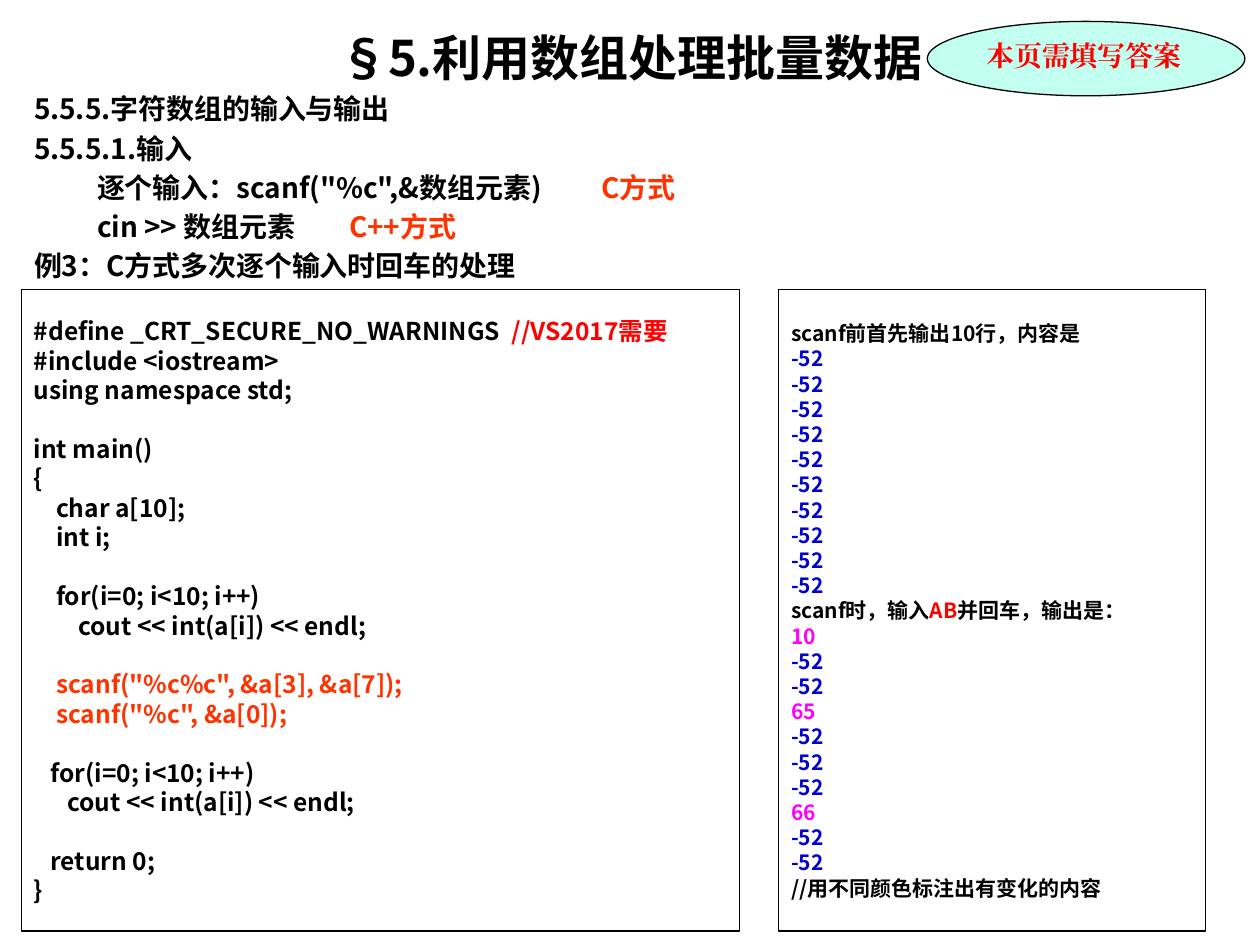
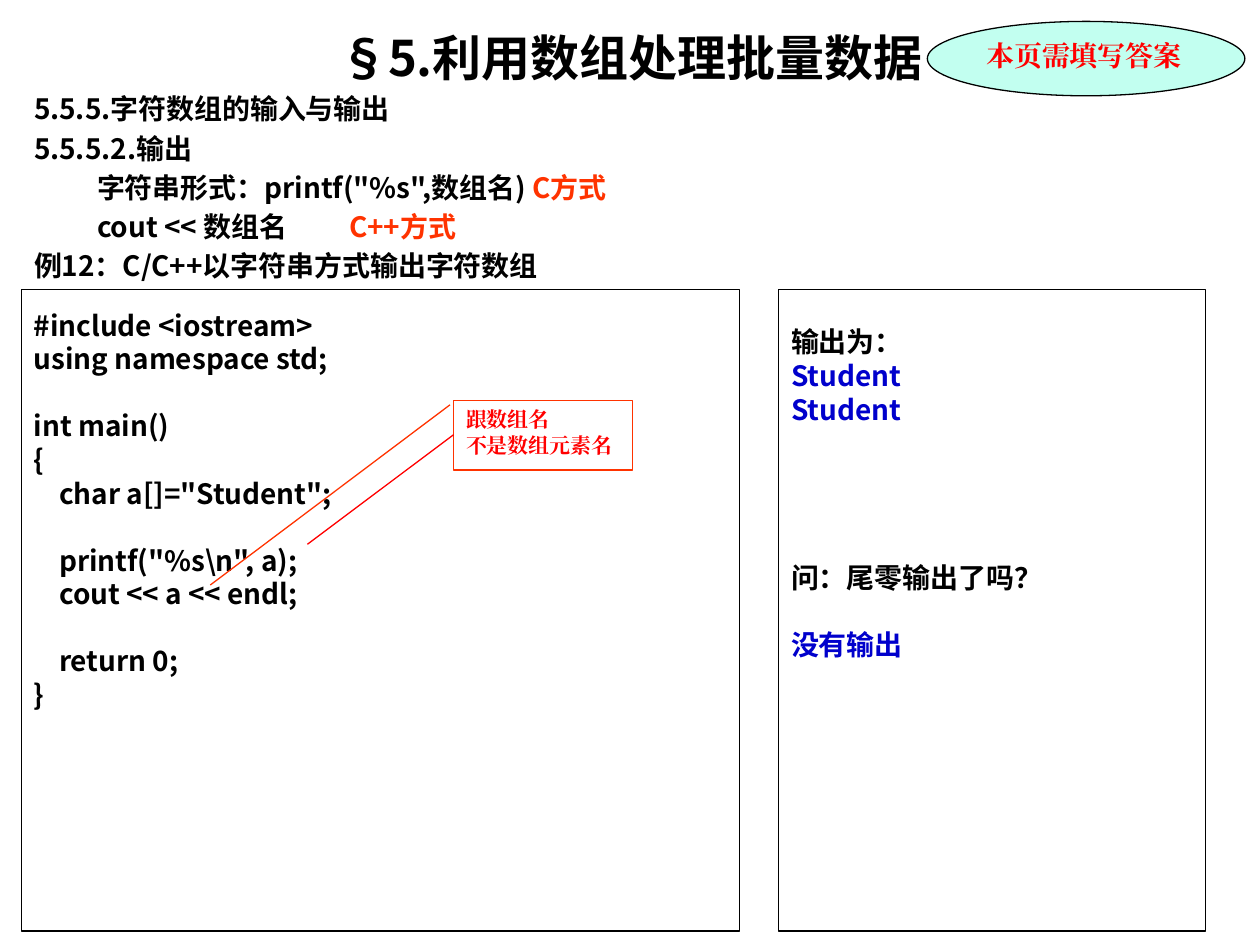
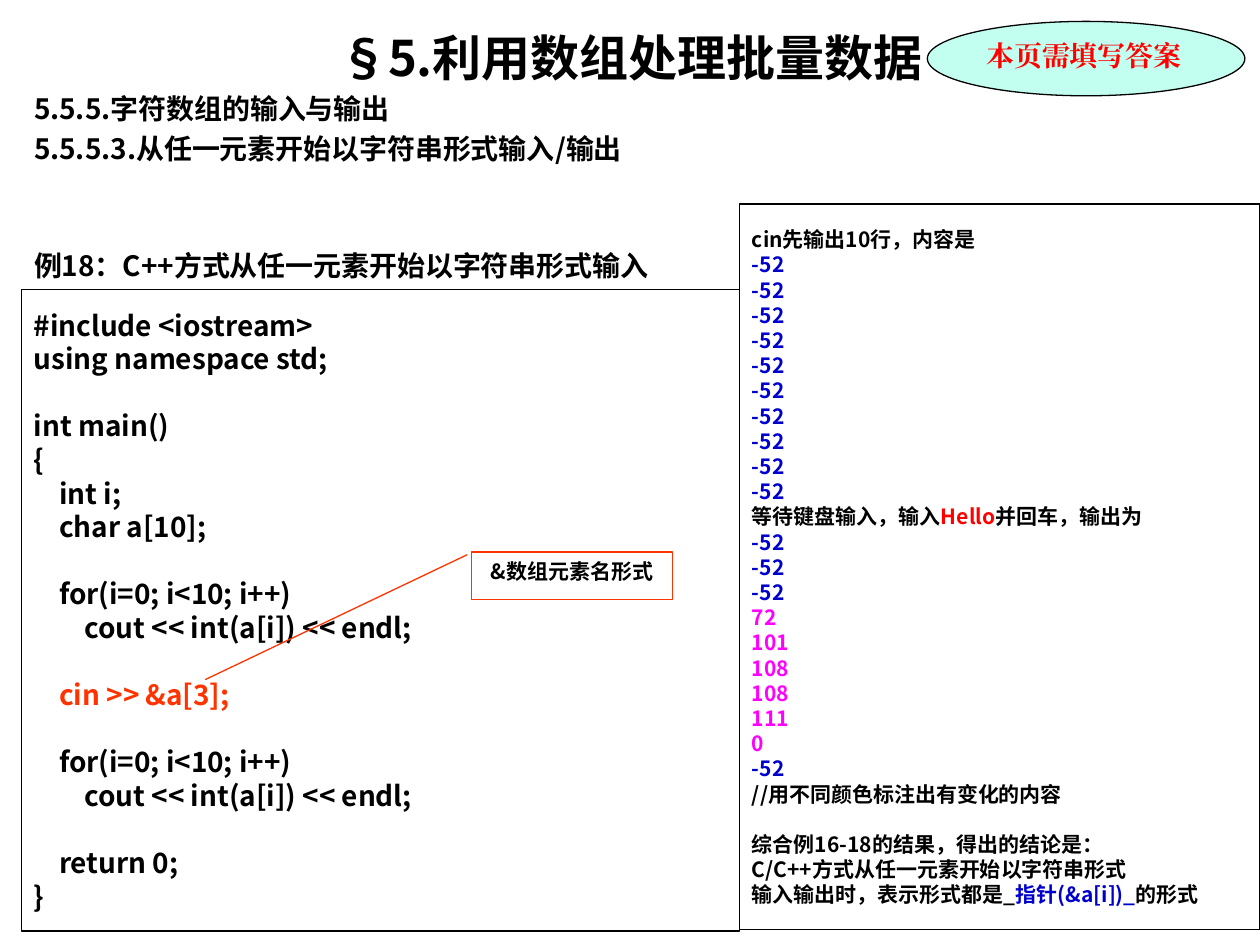
from dataclasses import dataclass
from typing import NamedTuple

import lxml.etree
import pptx
import pptx.dml.color
import pptx.enum.shapes
import pptx.enum.text
import pptx.oxml.ns
import pptx.util

Inches = pptx.util.Inches
Pt = pptx.util.Pt
ALIGN = pptx.enum.text.PP_ALIGN
ANCHOR = pptx.enum.text.MSO_ANCHOR
SHAPE = pptx.enum.shapes.MSO_SHAPE
qn = pptx.oxml.ns.qn


@dataclass(frozen=True)
class Theme:
    font: str = "Noto Sans CJK SC"
    note_font: str = "Times New Roman"
    black: str = "000000"
    red: str = "FF0000"
    orange: str = "FF3300"
    blue: str = "0000CC"
    pink: str = "FF00FF"
    mint: str = "C2FFF0"
    title: int = 28
    body: int = 16
    code: int = 14
    small: int = 12
    line_width: float = 0.75
    leading: float = 1.2
    body_gap: float = 3.2


T = Theme()


class Span(NamedTuple):
    text: str
    color: str = T.black


class Line(NamedTuple):
    spans: tuple[Span, ...]
    gap: int = 0
    tabs: tuple[float, ...] = ()


class Box(NamedTuple):
    left: float
    top: float
    width: float
    height: float

    def emu(self) -> list[int]:
        return [Inches(v) for v in self]


class Panel(NamedTuple):
    box: Box
    size: int
    lines: list[Line]
    spare: int = 0


class Callout(NamedTuple):
    box: Box
    adjustments: tuple[float, ...]
    lines: list[Line]
    font: str
    align: ALIGN


class Page(NamedTuple):
    heading: list[Line]
    panels: list[Panel]
    callouts: list[Callout] = []
    pointers: list[tuple[float, ...]] = []


TITLE = Box(0.17, 0.17, 9.67, 0.6)
HEADING = Box(0.17, 0.68, 9.67, 1.62)
BADGE = Box(7.36, 0.17, 2.52, 0.59)
CODE = Box(0.17, 2.3, 5.7, 5.09)
OUTPUT = Box(6.18, 2.3, 3.39, 5.09)
WIDE_OUTPUT = Box(5.87, 1.62, 4.13, 5.76)


def block(text: str, color: str = T.black) -> list[Line]:
    lines, gap = [], 0
    for row in text.split("\n"):
        if row:
            lines.append(Line((Span(row, color),), gap))
            gap = 0
        else:
            gap += 1
    return lines


def mixed(*spans: Span, tabs: tuple[float, ...] = ()) -> list[Line]:
    return [Line(spans, 0, tabs)]


def unset(count: int) -> list[Line]:
    return block("\n".join(["-52"] * count), T.blue)


def style_run(r, size: int, color: str, font: str) -> None:
    r.font.size = Pt(size)
    r.font.bold = True
    r.font.color.rgb = pptx.dml.color.RGBColor.from_string(color)
    r.font.name = font
    ea = lxml.etree.SubElement(r._r.get_or_add_rPr(), qn("a:ea"))
    ea.set("typeface", font)


def set_tabs(p, tabs: tuple[float, ...]) -> None:
    pPr = p._p.get_or_add_pPr()
    pPr.set("marL", "0")
    pPr.set("indent", "0")
    lxml.etree.SubElement(pPr, qn("a:buNone"))
    if tabs:
        tab_list = lxml.etree.SubElement(pPr, qn("a:tabLst"))
        for pos in tabs:
            tab = lxml.etree.SubElement(tab_list, qn("a:tab"))
            tab.set("pos", str(Inches(pos)))
            tab.set("algn", "l")


def write(tf, lines: list[Line], size: int, font: str = T.font,
          align: ALIGN = ALIGN.LEFT, anchor: ANCHOR = ANCHOR.TOP,
          paragraph_gap: float = 0) -> None:
    tf.word_wrap = True
    tf.auto_size = pptx.enum.text.MSO_AUTO_SIZE.NONE
    tf.vertical_anchor = anchor
    tf.text = "\n".join(line.spans[0].text for line in lines)
    pitch = T.leading * size
    for i, (p, line) in enumerate(zip(tf.paragraphs, lines)):
        set_tabs(p, line.tabs)
        p.alignment = align
        p.line_spacing = Pt(pitch)
        before = paragraph_gap + line.gap * (pitch + paragraph_gap)
        p.space_before = Pt(before if i else 0)
        for span in line.spans[1:]:
            p.add_run().text = span.text
        for r, span in zip(p.runs, line.spans):
            style_run(r, size, span.color, font)


def style_line(line, color: str) -> None:
    line.color.rgb = pptx.dml.color.RGBColor.from_string(color)
    line.width = Pt(T.line_width)


def add_box(s, kind: SHAPE, box: Box, line: str = T.black, fill: str = ""):
    sp = s.shapes.add_shape(kind, *box.emu())
    sp.shadow.inherit = False
    if fill:
        sp.fill.solid()
        sp.fill.fore_color.rgb = pptx.dml.color.RGBColor.from_string(fill)
    else:
        sp.fill.background()
    style_line(sp.line, line)
    return sp


def place(sp, box: Box) -> None:
    sp.left, sp.top, sp.width, sp.height = box.emu()


def add_headings(s, heading: list[Line]) -> None:
    title, body = s.shapes.title, s.placeholders[1]
    place(title, TITLE)
    place(body, HEADING)
    write(title.text_frame, block("§5.利用数组处理批量数据"), T.title,
          align=ALIGN.CENTER)
    write(body.text_frame, block("5.5.5.字符数组的输入与输出") + heading,
          T.body, align=ALIGN.JUSTIFY, paragraph_gap=T.body_gap)


def add_badge(s) -> None:
    sp = add_box(s, SHAPE.OVAL, BADGE, fill=T.mint)
    sp.text_frame.margin_right = 0
    write(sp.text_frame, block("本页需填写答案", T.red), T.body, T.note_font)


def add_panel(s, panel: Panel) -> None:
    tf = add_box(s, SHAPE.RECTANGLE, panel.box).text_frame
    tf.margin_bottom = Inches(0.05) + Pt(panel.spare * T.leading * panel.size)
    write(tf, panel.lines, panel.size, anchor=ANCHOR.MIDDLE)


def add_callout(s, callout: Callout) -> None:
    sp = add_box(s, SHAPE.LINE_CALLOUT_1, callout.box, T.orange)
    for i, value in enumerate(callout.adjustments):
        sp.adjustments[i] = value
    write(sp.text_frame, callout.lines, T.small, callout.font, callout.align)


def add_pointer(s, ends: tuple[float, ...]) -> None:
    kind = pptx.enum.shapes.MSO_CONNECTOR.STRAIGHT
    c = s.shapes.add_connector(kind, *[Inches(v) for v in ends])
    style_line(c.line, T.red)
    lxml.etree.SubElement(c._element.spPr, qn("a:effectLst"))


INPUT_CODE = (
    mixed(Span("#define _CRT_SECURE_NO_WARNINGS"),
          Span("  //VS2017需要", T.red))
    + block("""#include <iostream>
using namespace std;

int main()
{
    char a[10];
    int i;

    for(i=0; i<10; i++)
        cout << int(a[i]) << endl;""")
    + block("""
    scanf("%c%c", &a[3], &a[7]);
    scanf("%c", &a[0]);""", T.orange)
    + block("""
   for(i=0; i<10; i++)
      cout << int(a[i]) << endl;

   return 0;
}""")
)

INPUT_RESULT = (
    block("scanf前首先输出10行，内容是")
    + unset(10)
    + mixed(Span("scanf时，输入"), Span("AB", T.red), Span("并回车，输出是："))
    + block("10", T.pink) + unset(2)
    + block("65", T.pink) + unset(3)
    + block("66", T.pink) + unset(2)
    + block("//用不同颜色标注出有变化的内容")
)

OUTPUT_CODE = block("""#include <iostream>
using namespace std;

int main()
{
    char a[]="Student";

    printf("%s\\n", a);
    cout << a << endl;

    return 0;
}""")

OUTPUT_RESULT = (
    block("输出为：")
    + block("Student\nStudent", T.blue)
    + block("\n\n\n\n问：尾零输出了吗？")
    + block("\n没有输出", T.blue)
)

OFFSET_CODE = (
    block("""#include <iostream>
using namespace std;

int main()
{
    int i;
    char a[10];

    for(i=0; i<10; i++)
        cout << int(a[i]) << endl;""")
    + block("\n    cin >> &a[3];", T.orange)
    + block("""
    for(i=0; i<10; i++)
        cout << int(a[i]) << endl;

    return 0;
}""")
)

OFFSET_RESULT = (
    block("cin先输出10行，内容是")
    + unset(10)
    + mixed(Span("等待键盘输入，输入"), Span("Hello", T.red),
            Span("并回车，输出为"))
    + unset(3)
    + block("72\n101\n108\n108\n111\n0", T.pink)
    + unset(1)
    + block("""//用不同颜色标注出有变化的内容

综合例16-18的结果，得出的结论是：
C/C++方式从任一元素开始以字符串形式""")
    + mixed(Span("输入输出时，表示形式都是_"), Span("指针(&a[i])_", T.blue),
            Span("的形式"))
)

PAGES = [
    Page(
        block("5.5.5.1.输入")
        + mixed(Span("\t逐个输入：scanf(\"%c\",&数组元素)\t"),
                Span("C方式", T.orange), tabs=(0.15, 3.99))
        + mixed(Span("\tcin >> 数组元素\t"), Span("C++方式", T.orange),
                tabs=(0.65, 2.79))
        + block("例3：C方式多次逐个输入时回车的处理"),
        [Panel(CODE, T.code, INPUT_CODE),
         Panel(OUTPUT, T.small, INPUT_RESULT)],
    ),
    Page(
        block("5.5.5.2.输出")
        + mixed(Span("\t字符串形式：printf(\"%s\",数组名) "),
                Span("C方式", T.orange), tabs=(0.15,))
        + mixed(Span("\tcout << 数组名\t"), Span("C++方式", T.orange),
                tabs=(0.75, 2.67))
        + block("例12：C/C++以字符串方式输出字符数组"),
        [Panel(CODE, T.body, OUTPUT_CODE, spare=6),
         Panel(OUTPUT, T.body, OUTPUT_RESULT, spare=7)],
        [Callout(Box(3.6, 3.18, 1.42, 0.55), (0.06, -0.02, 2.66, -1.36),
                 block("跟数组名\n不是数组元素名", T.red), T.note_font,
                 ALIGN.LEFT)],
        [(3.6, 3.45, 2.44, 4.32)],
    ),
    Page(
        block("5.5.5.3.从任一元素开始以字符串形式输入/输出\n\n\n"
              "例18：C++方式从任一元素开始以字符串形式输入"),
        [Panel(CODE, T.body, OFFSET_CODE),
         Panel(WIDE_OUTPUT, T.small, OFFSET_RESULT)],
        [Callout(Box(3.74, 4.38, 1.6, 0.38), (0.06, -0.02, 2.67, -1.32),
                 block("&数组元素名形式"), T.font, ALIGN.CENTER)],
    ),
]


def main() -> None:
    prs = pptx.Presentation()
    prs.slide_width, prs.slide_height = Inches(10), Inches(7.5)
    for page in PAGES:
        s = prs.slides.add_slide(prs.slide_layouts[1])
        add_headings(s, page.heading)
        for panel in page.panels:
            add_panel(s, panel)
        add_badge(s)
        for callout in page.callouts:
            add_callout(s, callout)
        for ends in page.pointers:
            add_pointer(s, ends)
    prs.save("out.pptx")


if __name__ == "__main__":
    main()
